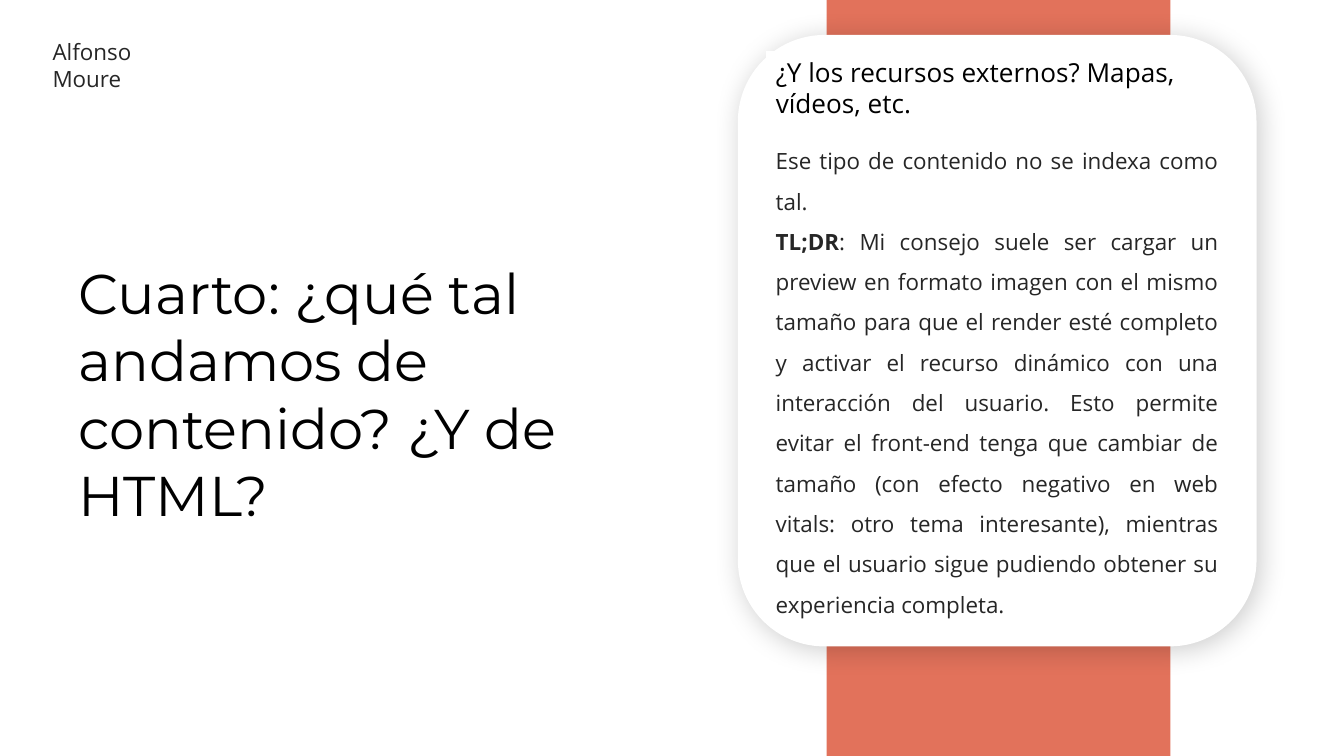
"""Build the slide about external resources with its title and text card."""
from lxml.etree import SubElement
from pptx import Presentation
from pptx.dml.color import RGBColor
from pptx.enum.shapes import MSO_SHAPE
from pptx.enum.text import MSO_ANCHOR, PP_ALIGN
from pptx.oxml.ns import qn
from pptx.util import Pt

TITLE = "Cuarto: ¿qué tal andamos de contenido? ¿Y de HTML?"
AUTHOR = "Alfonso Moure"
HEADING = "¿Y los recursos externos? Mapas, vídeos, etc."
BODY = [
    [("Ese tipo de contenido no se indexa como tal.", False)],
    [
        ("TL;DR", True),
        (": Mi consejo suele ser cargar un preview en formato imagen con el mismo "
         "tamaño para que el render esté completo y activar el recurso dinámico con "
         "una interacción del usuario. Esto permite evitar el front-end tenga que "
         "cambiar de tamaño (con efecto negativo en web vitals: otro tema "
         "interesante), mientras que el usuario sigue pudiendo obtener su "
         "experiencia completa.", False),
    ],
]
WHITE, BLACK, GREY, CORAL = "FFFFFF", "000000", "262626", "E2725B"
WIDTH, HEIGHT = 720, 405
CARD_LEFT, TEXT_LEFT = 395.3, 410.4


def color(value):
    return RGBColor.from_string(value)


def add_panel(shapes, kind, place, fill):
    panel = shapes.add_shape(kind, *map(Pt, place))
    panel.shadow.inherit = False
    panel.fill.solid()
    panel.fill.fore_color.rgb = color(fill)
    panel.line.fill.background()
    return panel


def write(box, paragraphs, size=12, font="Open Sans", ink=GREY,
          align=PP_ALIGN.LEFT, anchor=MSO_ANCHOR.TOP, spacing=None):
    frame = box.text_frame
    frame.word_wrap = True
    frame.vertical_anchor = anchor
    frame.margin_left = frame.margin_right = Pt(5.2)
    frame.margin_top = frame.margin_bottom = Pt(2.6)
    for index, pieces in enumerate(paragraphs):
        para = frame.add_paragraph() if index else frame.paragraphs[0]
        para.alignment = align
        if spacing:
            para.line_spacing = spacing
        for text, bold in pieces:
            span = para.add_run()
            span.text = text
            span.font.name = font
            span.font.size = Pt(size)
            span.font.bold = bold
            span.font.color.rgb = color(ink)


def add_shadow(shape, ink, alpha, blur, distance, angle):
    effects = shape._element.spPr.find(qn("a:effectLst"))
    shadow = SubElement(effects, qn("a:outerShdw"), blurRad=str(Pt(blur)),
                        dist=str(Pt(distance)), dir=str(angle * 60000),
                        algn="tl", rotWithShape="0")
    tint = SubElement(shadow, qn("a:srgbClr"), val=ink)
    SubElement(tint, qn("a:alpha"), val=str(alpha * 1000))


def main():
    deck = Presentation()
    deck.slide_width, deck.slide_height = Pt(WIDTH), Pt(HEIGHT)
    page = deck.slides.add_slide(deck.slide_layouts[5])

    title = page.shapes.title
    title.left, title.top, title.width, title.height = map(Pt, (36.7, 74.9, 304.6, 271.4))
    write(title, [[(TITLE, False)]], size=30, font="Montserrat", ink=BLACK,
          anchor=MSO_ANCHOR.MIDDLE)

    author = page.shapes.add_textbox(*map(Pt, (23, 18, 69.8, 34.6)))
    write(author, [[(AUTHOR, False)]])

    add_panel(page.shapes, MSO_SHAPE.RECTANGLE, (442.8, 0, 184.3, HEIGHT), CORAL)

    group = page.shapes.add_group_shape().shapes
    card = add_panel(group, MSO_SHAPE.ROUNDED_RECTANGLE,
                     (CARD_LEFT, 18.7, 277.9, 327.6), WHITE)
    card.adjustments[0] = 0.167
    add_shadow(card, BLACK, alpha=20, blur=15, distance=3, angle=45)

    heading = add_panel(group, MSO_SHAPE.RECTANGLE, (TEXT_LEFT, 27.4, 239, 39.6), WHITE)
    write(heading, [[(HEADING, False)]], size=14, ink=BLACK)
    body = add_panel(group, MSO_SHAPE.RECTANGLE, (TEXT_LEFT, 69.1, 247.7, 259.9), WHITE)
    write(body, BODY, align=PP_ALIGN.JUSTIFY, spacing=1.5)

    deck.save("out.pptx")


if __name__ == "__main__":
    main()
